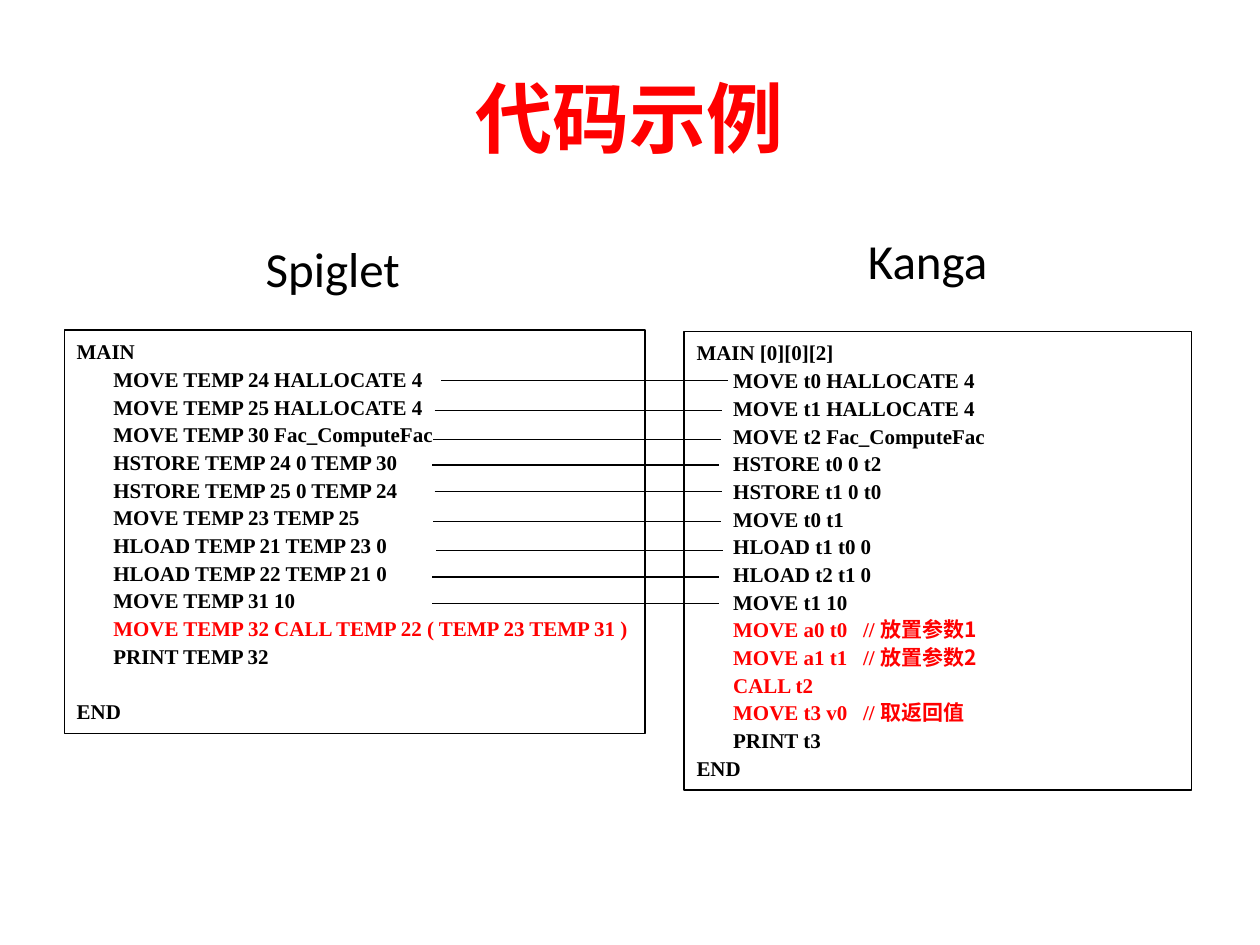
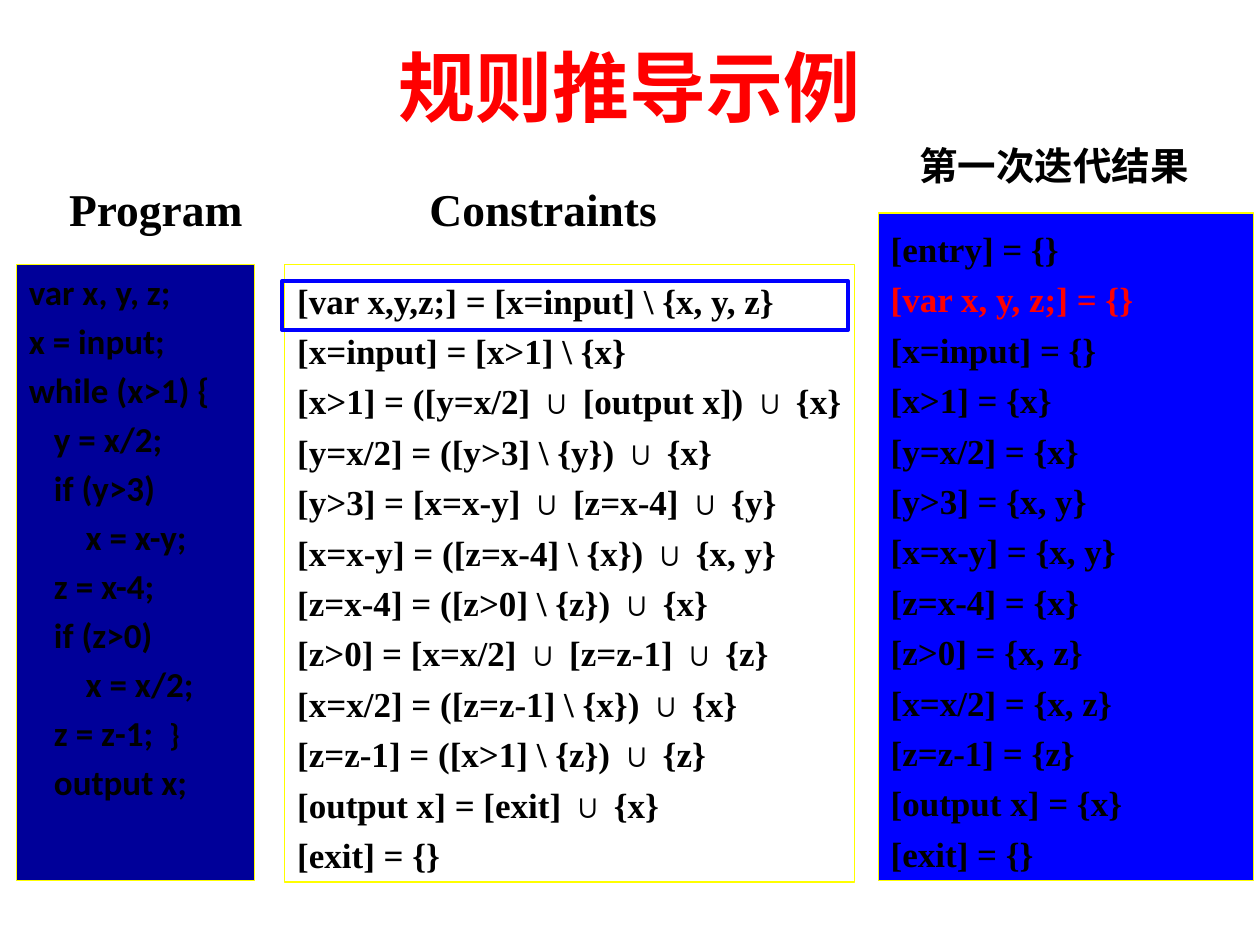
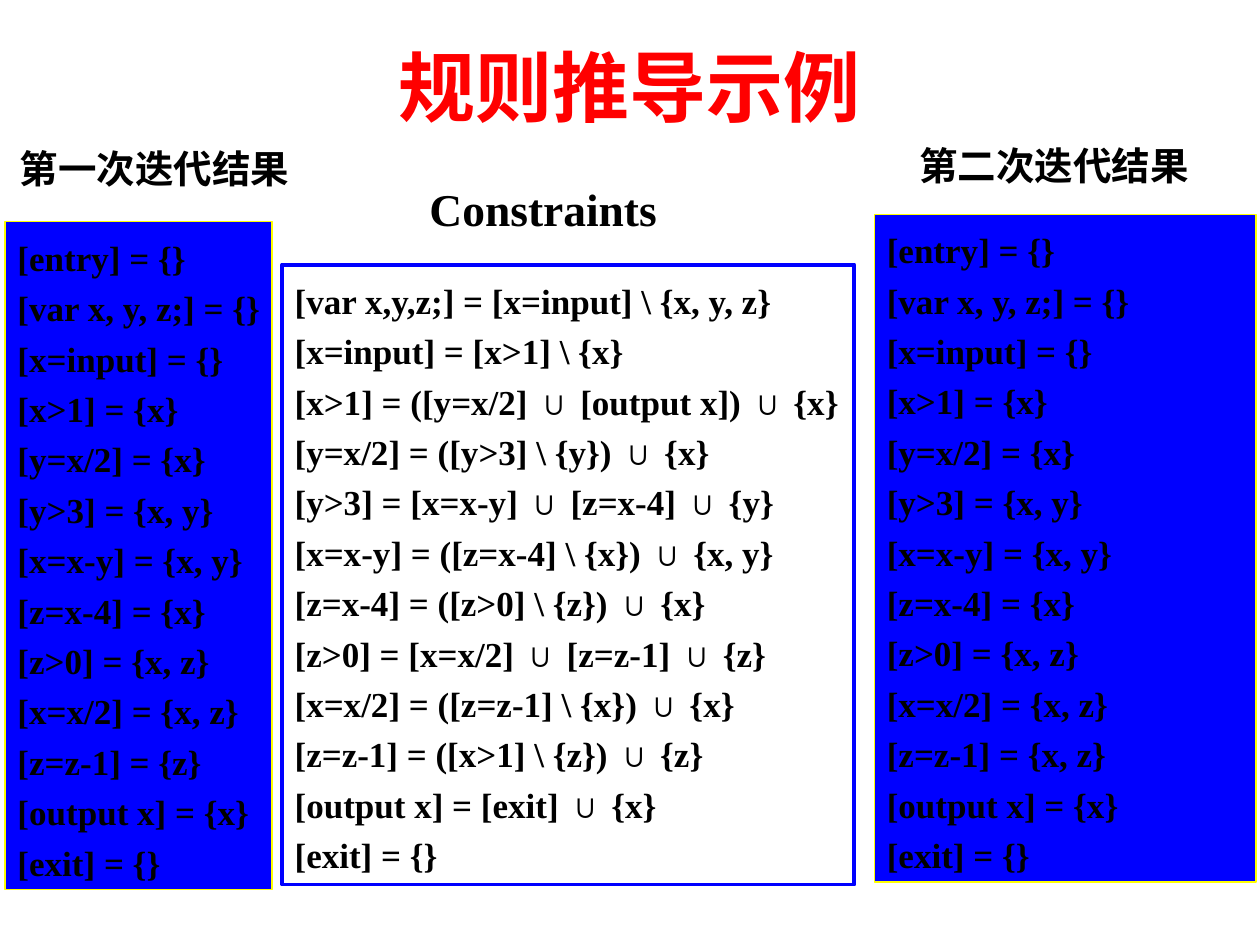
import pptx
import pptx.util
import pptx.dml.color
import pptx.enum.shapes
import pptx.enum.text
import pptx.oxml.ns
from lxml import etree
from pptx.util import Inches

BLACK, WHITE, RED = "000000", "FFFFFF", "FF0000"
BLUE, NAVY, YELLOW = "0000FF", "000099", "FFFF00"
SERIF, SANS, CHINESE = "Times New Roman", "Calibri", "Noto Sans CJK SC"
TITLE_ONLY = 5
CODE_INDENT = " " * 7

SPIGLET_CODE = [
    "MOVE TEMP 24 HALLOCATE 4", "MOVE TEMP 25 HALLOCATE 4",
    "MOVE TEMP 30 Fac_ComputeFac", "HSTORE TEMP 24 0 TEMP 30",
    "HSTORE TEMP 25 0 TEMP 24", "MOVE TEMP 23 TEMP 25",
    "HLOAD TEMP 21 TEMP 23 0", "HLOAD TEMP 22 TEMP 21 0",
    "MOVE TEMP 31 10", "MOVE TEMP 32 CALL TEMP 22 ( TEMP 23 TEMP 31 )",
    "PRINT TEMP 32",
]
KANGA_CODE = [
    "MOVE t0 HALLOCATE 4", "MOVE t1 HALLOCATE 4", "MOVE t2 Fac_ComputeFac",
    "HSTORE t0 0 t2", "HSTORE t1 0 t0", "MOVE t0 t1", "HLOAD t1 t0 0",
    "HLOAD t2 t1 0", "MOVE t1 10", "MOVE a0 t0   // |放置参数1",
    "MOVE a1 t1   // |放置参数2", "CALL t2", "MOVE t3 v0   // |取返回值",
    "PRINT t3",
]
# Left end and height of each line that pairs two instructions
INSTRUCTION_LINKS = [
    (3.5, 3.02), (3.45, 3.26), (3.44, 3.49), (3.43, 3.69), (3.45, 3.9),
    (3.44, 4.14), (3.46, 4.37), (3.43, 4.58), (3.43, 4.79),
]
LINK_LENGTH = 2.28

# Program lines with their indent level
PROGRAM = [
    (0, "var x, y, z;"), (0, "x = input;"), (0, "while (x>1) {"),
    (1, "y = x/2;"), (1, "if (y>3)"), (1, "    x = x-y;"), (1, "z = x-4;"),
    (1, "if (z>0)"), (1, "    x = x/2;"), (1, "z = z-1;  |}"),
    (1, "output x;"),
]
CONSTRAINTS = [
    "[var x,y,z;] = [x=input] \\ {x, y, z}",
    "[x=input] = [x>1] \\ {x}",
    "[x>1] = ([y=x/2] ∪ [output x]) ∪ {x}",
    "[y=x/2] = ([y>3] \\ {y}) ∪ {x}",
    "[y>3] = [x=x-y] ∪ [z=x-4] ∪ {y}",
    "[x=x-y] = ([z=x-4] \\ {x}) ∪ {x, y}",
    "[z=x-4] = ([z>0] \\ {z}) ∪ {x}",
    "[z>0] = [x=x/2] ∪ [z=z-1] ∪ {z}",
    "[x=x/2] = ([z=z-1] \\ {x}) ∪ {x}",
    "[z=z-1] = ([x>1] \\ {z}) ∪ {z}",
    "[output x] = [exit] ∪ {x}",
    "[exit] = {}",
]
FIRST_RESULT = {
    "entry": "", "var x, y, z;": "", "x=input": "", "x>1": "x", "y=x/2": "x",
    "y>3": "x, y", "x=x-y": "x, y", "z=x-4": "x", "z>0": "x, z",
    "x=x/2": "x, z", "z=z-1": "z", "output x": "x", "exit": "",
}
SECOND_RESULT = {**FIRST_RESULT, "z=z-1": "x, z"}


def colour(value):
    return pptx.dml.color.RGBColor.from_string(value)


def format_span(span, size, font=SERIF, ink=BLACK, bold=True):
    span.font.size = pptx.util.Pt(size)
    span.font.name = font
    span.font.bold = bold
    span.font.color.rgb = colour(ink)
    east_asian = etree.Element(pptx.oxml.ns.qn("a:ea"), typeface=CHINESE)
    span.font._element.find(pptx.oxml.ns.qn("a:latin")).addnext(east_asian)


def fill_lines(frame, lines, size, spacing=None, font=SERIF):
    """Write one paragraph a line; a bar in a line starts a new run."""
    for number, line in enumerate(lines):
        para = frame.paragraphs[0] if number == 0 else frame.add_paragraph()
        para.alignment = pptx.enum.text.PP_ALIGN.LEFT
        para.line_spacing = spacing
        for part in line.split("|"):
            span = para.add_run()
            span.text = part
            format_span(span, size, font)


def paint_line(frame, number, ink):
    for span in frame.paragraphs[number].runs:
        span.font.color.rgb = colour(ink)


def add_title(page, text, height):
    title = page.shapes.title
    title.left, title.top = Inches(0.5), Inches(0.3)
    title.width, title.height = Inches(9), Inches(height)
    frame = title.text_frame
    frame.text = text
    frame.vertical_anchor = pptx.enum.text.MSO_ANCHOR.MIDDLE
    frame.paragraphs[0].alignment = pptx.enum.text.PP_ALIGN.CENTER
    format_span(frame.paragraphs[0].runs[0], 44, CHINESE, RED)


def add_label(page, text, box, size, font=SERIF, bold=True):
    label = page.shapes.add_textbox(*map(Inches, box))
    frame = label.text_frame
    frame.word_wrap = False
    frame.auto_size = pptx.enum.text.MSO_AUTO_SIZE.SHAPE_TO_FIT_TEXT
    frame.text = text
    format_span(frame.paragraphs[0].runs[0], size, font, bold=bold)


def add_panel(page, box, fill, line, width=0.75):
    panel = page.shapes.add_shape(
        pptx.enum.shapes.MSO_SHAPE.RECTANGLE, *map(Inches, box))
    panel.shadow.inherit = False
    if fill:
        panel.fill.solid()
        panel.fill.fore_color.rgb = colour(fill)
    else:
        panel.fill.background()
    panel.line.color.rgb = colour(line)
    panel.line.width = pptx.util.Pt(width)
    panel.text_frame.word_wrap = True
    panel.text_frame.vertical_anchor = pptx.enum.text.MSO_ANCHOR.TOP
    return panel.text_frame


def add_code(page, box, header, body, red_lines):
    frame = add_panel(page, box, WHITE, BLACK)
    lines = [header] + [CODE_INDENT + line for line in body] + ["END"]
    fill_lines(frame, lines, 12, 1.1)
    for number in red_lines:
        paint_line(frame, number, RED)
    for para in frame.paragraphs:
        for comment in para.runs[1:]:
            comment.font.name = CHINESE
    return frame


def add_link(page, left, top):
    link = page.shapes.add_connector(
        pptx.enum.shapes.MSO_CONNECTOR.STRAIGHT,
        Inches(left), Inches(top), Inches(left + LINK_LENGTH), Inches(top))
    link.line.color.rgb = colour(BLACK)
    link.line.width = pptx.util.Pt(0.75)
    etree.SubElement(link._element.spPr, pptx.oxml.ns.qn("a:effectLst"))


def add_constraints(page, box, line, width):
    add_label(page, "Constraints", (3.31, 1.39, 2.01, 0.53), 26)
    frame = add_panel(page, box, WHITE, line, width)
    frame.word_wrap = False
    fill_lines(frame, CONSTRAINTS, 20, 1.2)


def add_result(page, box, result):
    frame = add_panel(page, box, BLUE, YELLOW)
    # A narrow right margin keeps the longest line whole
    frame.margin_right = Inches(0.05)
    lines = [f"[{node}] = {{{names}}}" for node, names in result.items()]
    fill_lines(frame, lines, 20, 1.2)
    return frame


def add_program(page, box):
    add_label(page, "Program", (0.45, 1.39, 1.67, 0.53), 26)
    frame = add_panel(page, box, NAVY, YELLOW)
    fill_lines(frame, [line for level, line in PROGRAM], 20, font=SANS)
    for number, para in enumerate(frame.paragraphs):
        level = PROGRAM[number][0]
        para._p.get_or_add_pPr().set("marL", str(Inches(0.2 * level)))
        if number:
            para.space_before = pptx.util.Pt(4)
        for brace in para.runs[1:]:
            brace.font.size = pptx.util.Pt(18)


def add_page(deck, title, title_height):
    page = deck.slides.add_slide(deck.slide_layouts[TITLE_ONLY])
    add_title(page, title, title_height)
    return page


def build_code_page(deck):
    page = add_page(deck, "代码示例", 1.25)
    spiglet = add_code(page, (0.51, 2.62, 4.61, 3.2), "MAIN",
                       SPIGLET_CODE, [10])
    spiglet.paragraphs[-1].space_before = pptx.util.Pt(15.8)
    add_code(page, (5.43, 2.63, 4.03, 3.64), "MAIN [0][0][2]",
             KANGA_CODE, range(10, 14))
    add_label(page, "Spiglet", (2.01, 1.84, 1.28, 0.57), 28, SANS, False)
    add_label(page, "Kanga", (6.79, 1.78, 1.16, 0.57), 28, SANS, False)
    for left, top in INSTRUCTION_LINKS:
        add_link(page, left, top)


def build_first_iteration(deck):
    page = add_page(deck, "规则推导示例", 0.76)
    add_constraints(page, (2.26, 2.1, 4.52, 4.9), YELLOW, 0.75)
    result = add_result(page, (6.97, 1.69, 2.98, 5.3), FIRST_RESULT)
    paint_line(result, 1, RED)
    # Frame around the rule being applied
    add_panel(page, (2.24, 2.23, 4.49, 0.39), None, BLUE, 2.25)
    add_program(page, (0.13, 2.1, 1.89, 4.89))
    add_label(page, "第一次迭代结果", (7.2, 1.08, 2.35, 0.47), 22, CHINESE)


def build_second_iteration(deck):
    page = add_page(deck, "规则推导示例", 0.76)
    add_result(page, (6.94, 1.7, 3.03, 5.3), SECOND_RESULT)
    add_result(page, (0.04, 1.76, 2.12, 5.3), FIRST_RESULT)
    add_constraints(page, (2.24, 2.1, 4.54, 4.92), BLUE, 2.25)
    add_label(page, "第二次迭代结果", (7.2, 1.08, 2.35, 0.47), 22, CHINESE)
    add_label(page, "第一次迭代结果", (0.06, 1.1, 2.35, 0.47), 22, CHINESE)


def main():
    deck = pptx.Presentation()
    deck.slide_width, deck.slide_height = Inches(10), Inches(7.5)
    build_code_page(deck)
    build_first_iteration(deck)
    build_second_iteration(deck)
    deck.save("out.pptx")


if __name__ == "__main__":
    main()
